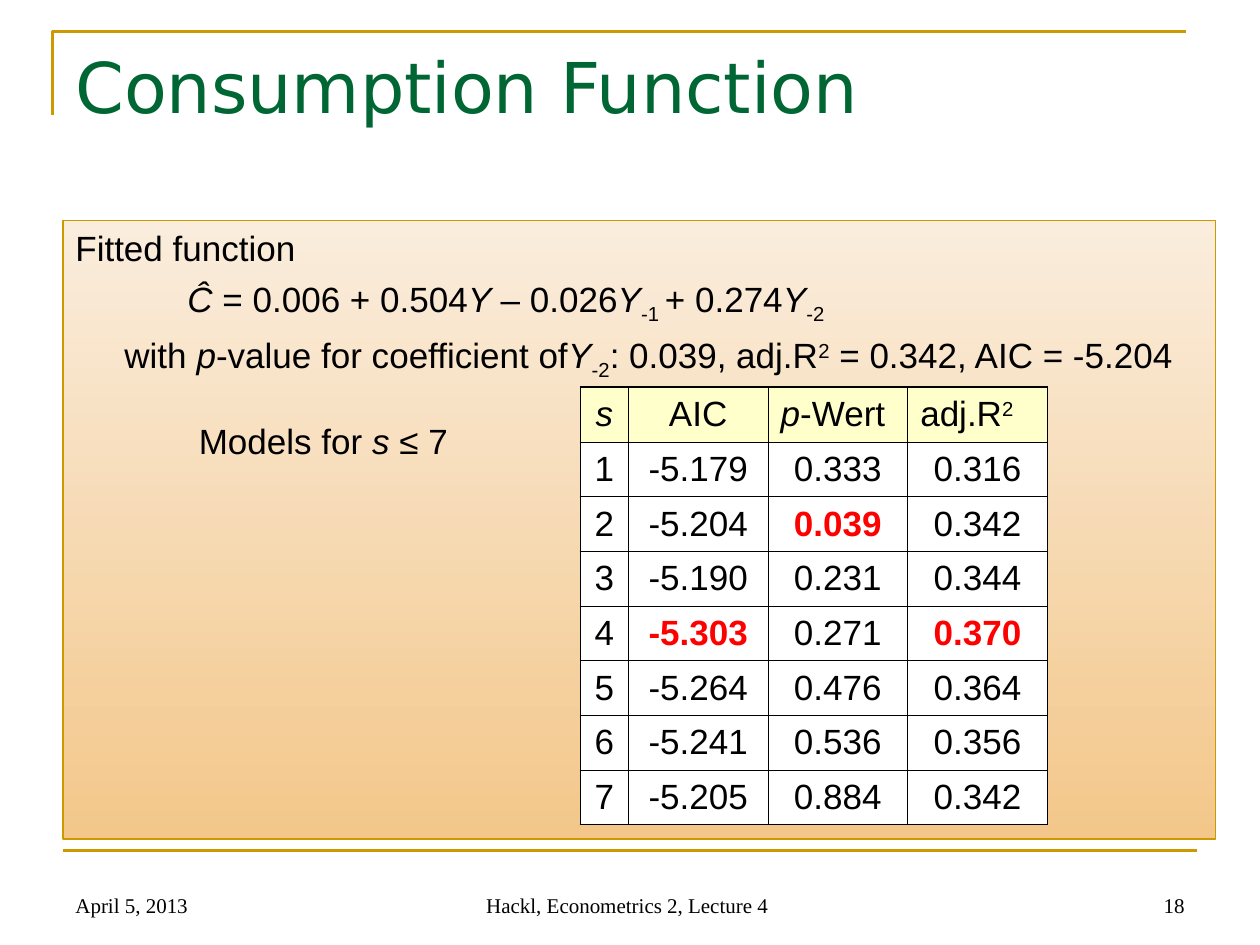
from dataclasses import dataclass

from lxml.etree import SubElement
from pptx import Presentation
from pptx.dml.color import RGBColor
from pptx.enum.shapes import MSO_CONNECTOR as CONN, MSO_SHAPE as SHAPE
from pptx.enum.text import MSO_ANCHOR as ANCHOR, PP_ALIGN as ALIGN
from pptx.oxml.ns import qn
from pptx.util import Pt


@dataclass(frozen=True)
class Theme:
    gold: str = "CC9900"
    green: str = "006633"
    black: str = "000000"
    red: str = "FF0000"
    white: str = "FFFFFF"
    header: str = "FFFFCC"
    panel_bottom: str = "F3C78A"
    panel_top: str = "FAEDDD"
    title_font: str = "DejaVu Sans"
    body_font: str = "Arial"
    footer_font: str = "Times New Roman"
    title_size: float = 40
    body_size: float = 20
    footer_size: float = 12
    rule: float = 1.5
    outer: float = 1.08
    inner: float = 0.45


THEME = Theme()
TITLE = {"name": THEME.title_font, "size": THEME.title_size, "color": THEME.green}
BODY = {"name": THEME.body_font, "size": THEME.body_size, "color": THEME.black}
FOOTER = {"name": THEME.footer_font, "size": THEME.footer_size, "color": THEME.black}
VAR = {"italic": True}
SUB = {"baseline": -25000}
SUP = {"baseline": 30000}
BEST = {"bold": True, "color": THEME.red}


def rgb(value):
    return RGBColor.from_string(value)


class SlideBuilder:
    def __init__(self, slide, theme):
        self.s, self.theme = slide, theme

    def add_runs(self, p, runs, style, align=ALIGN.LEFT):
        """Fill a paragraph with (text, style changes) runs."""
        p.alignment = align
        for text, changes in runs:
            r = p.add_run()
            r.text = text
            for key, value in {**style, **changes}.items():
                if key == "color":
                    r.font.color.rgb = rgb(value)
                elif key == "baseline":
                    r._r.get_or_add_rPr().set(key, str(value))
                else:
                    setattr(r.font, key, Pt(value) if key == "size" else value)

    def text(self, box, runs, style, align=ALIGN.LEFT, anchor=ANCHOR.TOP, wrap=True):
        tf = self.s.shapes.add_textbox(*map(Pt, box)).text_frame
        tf.word_wrap, tf.vertical_anchor = wrap, anchor
        self.add_runs(tf.paragraphs[0], runs, style, align)

    def outline(self, line, width):
        line.color.rgb, line.width = rgb(self.theme.gold), Pt(width)

    def corner(self, start, *points):
        builder = self.s.shapes.build_freeform(*map(Pt, start))
        builder.add_line_segments([tuple(map(Pt, pt)) for pt in points], close=False)
        sp = builder.convert_to_shape()
        sp.shadow.inherit = False
        sp.fill.background()
        self.outline(sp.line, self.theme.rule)

    def rule(self, *ends):
        line = self.s.shapes.add_connector(CONN.STRAIGHT, *map(Pt, ends))
        self.outline(line.line, self.theme.rule)
        SubElement(line._element.spPr, qn("a:effectLst"))

    def panel(self, box, lines, indent, tab):
        sp = self.s.shapes.add_shape(SHAPE.RECTANGLE, *map(Pt, box))
        sp.shadow.inherit = False
        sp.fill.gradient()
        sp.fill.gradient_angle = 90
        colors = self.theme.panel_bottom, self.theme.panel_top
        for position, (stop, color) in enumerate(zip(sp.fill.gradient_stops, colors)):
            stop.position, stop.color.rgb = position, rgb(color)
        self.outline(sp.line, 0.75)
        tf = sp.text_frame
        tf.word_wrap, tf.vertical_anchor = True, ANCHOR.TOP
        for i, runs in enumerate(lines):
            p = tf.add_paragraph() if i else tf.paragraphs[0]
            if i:
                p.space_before = Pt(5)
            pPr = p._p.get_or_add_pPr()
            pPr.set("marL", str(Pt(indent)))
            pPr.set("indent", str(-Pt(indent)))
            tabs = SubElement(pPr, qn("a:tabLst"))
            for k in range(8):
                SubElement(tabs, qn("a:tab"), pos=str(Pt(k * tab)), algn="l")
            self.add_runs(p, runs, BODY)

    def borders(self, cell, widths):
        tcPr = cell._tc.get_or_add_tcPr()
        for i, (side, width) in enumerate(widths.items()):
            ln = SubElement(tcPr, qn(f"a:ln{side}"), w=str(Pt(width)))
            fill = SubElement(ln, qn("a:solidFill"))
            SubElement(fill, qn("a:srgbClr"), val=self.theme.black)
            tcPr.insert(i, ln)

    def table(self, left, top, col_widths, row_height, rows):
        n_rows, n_cols = len(rows), len(col_widths)
        frame = self.s.shapes.add_table(n_rows, n_cols, Pt(left), Pt(top),
                                        Pt(sum(col_widths)), Pt(row_height * n_rows))
        tbl = frame.table
        tbl.first_row = tbl.horz_banding = False
        for col, width in zip(tbl.columns, col_widths):
            col.width = Pt(width)
        for i, row in enumerate(rows):
            tbl.rows[i].height = Pt(row_height)
            for j, runs in enumerate(row):
                cell = tbl.cell(i, j)
                cell.vertical_anchor = ANCHOR.MIDDLE
                cell.fill.solid()
                cell.fill.fore_color.rgb = rgb(self.theme.white if i else self.theme.header)
                edges = {"L": j == 0, "R": j == n_cols - 1,
                         "T": i == 0, "B": i == n_rows - 1}
                self.borders(cell, {side: self.theme.outer if outer else self.theme.inner
                                    for side, outer in edges.items()})
                align = ALIGN.LEFT if i == 0 and j >= 2 else ALIGN.CENTER
                self.add_runs(cell.text_frame.paragraphs[0], runs, BODY, align)


FITTED = [
    [("Fitted function", {})],
    [("\t\tĈ", VAR), (" = 0.006 + 0.504", {}), ("Y ", VAR), ("– 0.026", {}),
     ("Y", VAR), ("-1 ", SUB), ("+ 0.274", {}), ("Y", VAR), ("-2", SUB)],
    [("\twith ", {}), ("p", VAR), ("-value for coefficient of", {}), ("Y", VAR),
     ("-2", SUB), (": 0.039, adj.R", {}), ("2", SUP), (" = 0.342, AIC = -5.204", {})],
]
HEADER = [[("s", VAR)], [("AIC", {})], [("p", VAR), ("-Wert", {})],
          [("adj.R", {}), ("2", SUP)]]
MODELS = [
    ("1", "-5.179", "0.333", "0.316"),
    ("2", "-5.204", "0.039", "0.342"),
    ("3", "-5.190", "0.231", "0.344"),
    ("4", "-5.303", "0.271", "0.370"),
    ("5", "-5.264", "0.476", "0.364"),
    ("6", "-5.241", "0.536", "0.356"),
    ("7", "-5.205", "0.884", "0.342"),
]
BEST_VALUES = {"0.039", "-5.303", "0.370"}


def main():
    prs = Presentation()
    prs.slide_width, prs.slide_height = Pt(720), Pt(540)
    b = SlideBuilder(prs.slides.add_slide(prs.slide_layouts[6]), THEME)

    b.corner((30, 66), (30, 18), (678, 18))
    b.rule(36, 486, 684, 486)
    for left, width, text, align in (
        (36, 168, "April 5, 2013", ALIGN.LEFT),
        (246, 228, "Hackl, Econometrics 2, Lecture 4 ", ALIGN.CENTER),
        (516, 168, "18", ALIGN.RIGHT),
    ):
        b.text((left, 492, width, 36), [(text, {})], FOOTER, align, ANCHOR.BOTTOM)
    b.text((36, 21.6, 648, 90), [("Consumption Function", {})], TITLE)
    b.panel((36, 126, 658.8, 353.5), FITTED, indent=28, tab=72)
    rows = [[[(v, BEST if v in BEST_VALUES else {})] for v in row] for row in MODELS]
    b.table(331.7, 221.3, [27.4, 79.8, 79.8, 79.8], 31.2, [HEADER] + rows)
    b.text((106.5, 236.2, 157, 31.5), [("Models for ", {}), ("s", VAR), (" ≤ 7", {})],
           BODY, wrap=False)
    prs.save("out.pptx")


if __name__ == "__main__":
    main()
